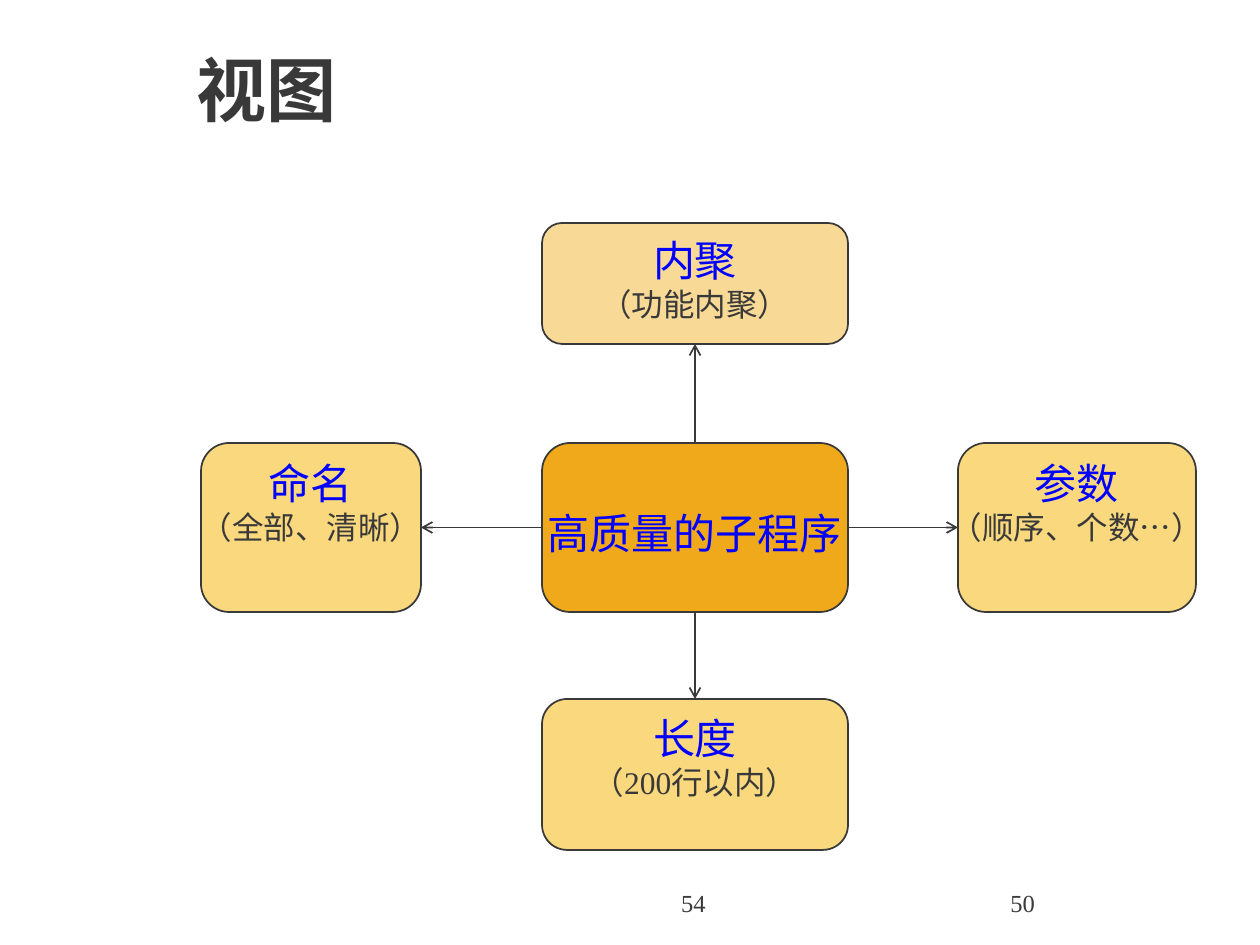
"""Build the slide on what makes a high-quality subroutine."""
from typing import NamedTuple

from lxml import etree
from pptx import Presentation
from pptx import util as u
from pptx.dml.color import RGBColor
from pptx.enum import shapes, text
from pptx.oxml.ns import qn

FONT = "Times New Roman"
INK, BLUE = "393939", "0000FF"
AMBER, GOLD, PEACH = "F0A91A", "F9D87E", "F8DA96"
TOP, LEFT, BOTTOM, RIGHT = range(4)
PAD_X, PAD_Y = 13, 6


class Frame(NamedTuple):
    left: int
    top: int
    width: int
    height: int


class Aspect(NamedTuple):
    heading: str
    detail: str
    frame: Frame
    fill: str
    hub_side: int
    own_side: int


HUB = Frame(542, 443, 306, 169)
ASPECTS = [
    Aspect("内聚", "（功能内聚）", Frame(542, 223, 306, 121), PEACH, TOP, BOTTOM),
    Aspect("命名", "（全部、清晰）", Frame(201, 443, 220, 169), GOLD, LEFT, RIGHT),
    Aspect("参数", "（顺序、个数…）", Frame(958, 443, 238, 169), GOLD, RIGHT, LEFT),
    Aspect("长度", "（200行以内）", Frame(542, 699, 306, 151), GOLD, BOTTOM, TOP),
]


def px(length: int) -> u.Emu:
    """Turn pixels at 126 to the inch into EMU."""
    return u.Emu(round(length * 914400 / 126))


def place(frame: Frame) -> list:
    """Give a frame's left, top, width and height in EMU."""
    return [px(length) for length in frame]


def color(value: str) -> RGBColor:
    """Turn a hex string into a colour."""
    return RGBColor.from_string(value)


def write(paragraph, words: str, *, size: int, ink: str = INK, bold: bool = False,
          align=text.PP_ALIGN.CENTER) -> None:
    """Fill a paragraph with formatted text."""
    paragraph.alignment = align
    run = paragraph.add_run()
    run.text = words
    run.font.name = FONT
    run.font.size = u.Pt(size)
    run.font.bold = bold
    run.font.color.rgb = color(ink)


def add_title(slide, words: str, frame: Frame) -> None:
    """Move the title placeholder and fill it."""
    title = slide.shapes.title
    title.left, title.top, title.width, title.height = place(frame)
    title.text_frame.vertical_anchor = text.MSO_ANCHOR.MIDDLE
    write(title.text_frame.paragraphs[0], words, size=40, bold=True,
          align=text.PP_ALIGN.LEFT)


def add_number(slide, words: str, frame: Frame, align) -> None:
    """Add a number at the foot of the slide."""
    body = slide.shapes.add_textbox(*place(frame)).text_frame
    body.word_wrap = True
    write(body.paragraphs[0], words, size=14, align=align)


def add_box(slide, frame: Frame, fill: str, heading: str, detail: str = "",
            pad_top: int = PAD_Y):
    """Add a rounded box with a heading and an optional detail line."""
    box = slide.shapes.add_shape(shapes.MSO_SHAPE.ROUNDED_RECTANGLE, *place(frame))
    box.shadow.inherit = False
    box.fill.solid()
    box.fill.fore_color.rgb = color(fill)
    box.line.color.rgb = color(INK)
    box.line.width = u.Pt(1)
    body = box.text_frame
    body.word_wrap = False
    body.vertical_anchor = text.MSO_ANCHOR.TOP
    body.margin_left = body.margin_right = px(PAD_X)
    body.margin_top, body.margin_bottom = px(pad_top), px(PAD_Y)
    write(body.paragraphs[0], heading, size=24, ink=BLUE)
    if detail:
        write(body.add_paragraph(), detail, size=18)
    return box


def add_arrow(slide, start, start_side: int, end, end_side: int) -> None:
    """Join two boxes with an open-headed arrow."""
    arrow = slide.shapes.add_connector(shapes.MSO_CONNECTOR.STRAIGHT, 0, 0, 0, 0)
    arrow.begin_connect(start, start_side)
    arrow.end_connect(end, end_side)
    arrow.line.color.rgb = color(INK)
    arrow.line.width = u.Pt(1)
    etree.SubElement(arrow.line._get_or_add_ln(), qn("a:tailEnd"), type="arrow")
    etree.SubElement(arrow._element.spPr, qn("a:effectLst"))


def main() -> None:
    """Build and save the slide."""
    deck = Presentation()
    deck.slide_width, deck.slide_height = px(1260), px(945)
    slide = deck.slides.add_slide(deck.slide_layouts[5])
    add_title(slide, "视图", Frame(184, 6, 1071, 166))
    add_number(slide, "54", Frame(494, 882, 399, 63), text.PP_ALIGN.CENTER)
    add_number(slide, "50", Frame(998, 882, 262, 63), text.PP_ALIGN.LEFT)
    hub = add_box(slide, HUB, AMBER, "高质量的子程序", pad_top=56)
    for aspect in ASPECTS:
        box = add_box(slide, aspect.frame, aspect.fill, aspect.heading, aspect.detail)
        add_arrow(slide, hub, aspect.hub_side, box, aspect.own_side)
    deck.save("out.pptx")


if __name__ == "__main__":
    main()
